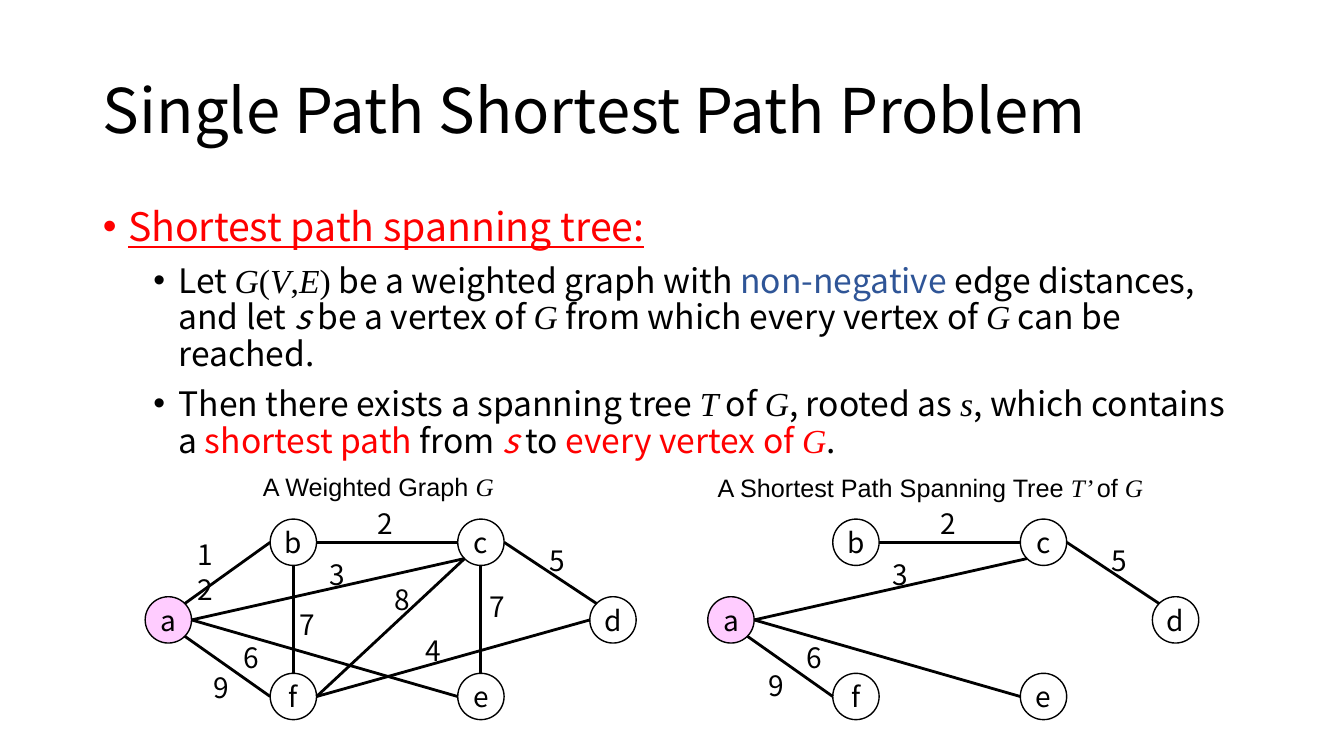
import pptx
import pptx.util
import pptx.dml.color
import pptx.enum.shapes
import pptx.enum.text
import pptx.oxml.ns
import lxml.etree

Inches = pptx.util.Inches
Pt = pptx.util.Pt

COLORS = {
    "black": "000000",
    "white": "FFFFFF",
    "red": "FF0000",
    "blue": "2F5597",
    "pink": "FFCCFF",
}
SANS = "Noto Sans CJK JP"
SERIF = "Times New Roman"
ARIAL = "Arial"

NODE_SIZE = 0.46
TREE_SHIFT = 5.58
NODES = {
    "f": (2.68, 6.68),
    "b": (2.68, 5.15),
    "c": (4.54, 5.15),
    "e": (4.54, 6.68),
    "d": (5.85, 5.92),
    "a": (1.44, 5.92),
}
SITES = {
    "top": (0.5, 0),
    "bottom": (0.5, 1),
    "left": (0, 0.5),
    "right": (1, 0.5),
    "top left": (0.15, 0.15),
    "top right": (0.85, 0.15),
    "bottom left": (0.15, 0.85),
    "bottom right": (0.85, 0.85),
}
TREE_EDGES = [
    ("c", "left", "b", "right"),
    ("d", "top left", "c", "right"),
    ("a", "right", "e", "left"),
    ("a", "right", "c", "bottom left"),
    ("a", "bottom right", "f", "left"),
]
GRAPH_EDGES = TREE_EDGES + [
    ("c", "bottom", "e", "top"),
    ("b", "bottom", "f", "top"),
    ("a", "top right", "b", "left"),
    ("c", "bottom left", "f", "right"),
    ("d", "left", "f", "right"),
]
TREE_WEIGHTS = [
    ("2", 3.65, 4.96),
    ("5", 5.35, 5.33),
    ("6", 2.32, 6.29),
    ("3", 3.17, 5.47),
]
GRAPH_WEIGHTS = TREE_WEIGHTS + [
    ("12", 1.86, 5.27),
    ("7", 4.76, 5.79),
    ("4", 4.12, 6.22),
    ("8", 3.81, 5.72),
    ("7", 2.87, 5.96),
    ("9", 2.02, 6.59),
]


def color(name):
    return pptx.dml.color.RGBColor.from_string(COLORS[name])


def add_span(para, text, size, font=SANS, tint="black", italic=False, underline=False):
    span = para.add_run()
    span.text = text
    span.font.size = Pt(size)
    span.font.name = font
    span.font.italic = italic
    span.font.underline = underline
    span.font.color.rgb = color(tint)
    properties = span._r.get_or_add_rPr()
    for tag in ("a:ea", "a:cs"):
        face = lxml.etree.SubElement(properties, pptx.oxml.ns.qn(tag))
        face.set("typeface", font)


def add_spans(para, spans, size):
    for text, *style in spans:
        add_span(para, text, size, *style)


def place(box, left, top, width, height):
    box.left, box.top = Inches(left), Inches(top)
    box.width, box.height = Inches(width), Inches(height)


def format_bullet(para, level, indent, spacing):
    para.level = level
    para.line_spacing = Pt(spacing)
    para.space_before = para.space_after = Pt(5)
    properties = para._p.get_or_add_pPr()
    properties.set("marL", str(Inches(indent)))
    properties.set("indent", str(Inches(-0.25)))
    font = lxml.etree.SubElement(properties, pptx.oxml.ns.qn("a:buFont"))
    font.set("typeface", ARIAL)
    bullet = lxml.etree.SubElement(properties, pptx.oxml.ns.qn("a:buChar"))
    bullet.set("char", "•")


def write_title(box):
    place(box, 0.92, 0.4, 11.5, 1.45)
    frame = box.text_frame
    frame.auto_size = pptx.enum.text.MSO_AUTO_SIZE.NONE
    frame.vertical_anchor = pptx.enum.text.MSO_ANCHOR.MIDDLE
    para = frame.paragraphs[0]
    para.alignment = pptx.enum.text.PP_ALIGN.LEFT
    para.line_spacing = 0.9
    add_span(para, "Single Path Shortest Path Problem", 44)


def write_body(box):
    place(box, 0.92, 2, 11.5, 4.76)
    frame = box.text_frame
    frame.auto_size = pptx.enum.text.MSO_AUTO_SIZE.NONE
    heading = frame.paragraphs[0]
    format_bullet(heading, 0, 0.25, 30.5)
    add_span(heading, "Shortest path spanning tree:", 28, tint="red", underline=True)
    graph = ("G", SERIF, "black", True)
    points = [
        [
            ("Let ",), graph, ("(", SERIF), ("V", SERIF, "black", True),
            (",", SERIF), ("E", SERIF, "black", True), (")", SERIF),
            (" be a weighted graph with ",), ("non-negative", SANS, "blue"),
            (" edge distances, and let ",), ("s", SANS, "black", True),
            (" be a vertex of ",), graph, (" from which every vertex of ",),
            graph, (" can be reached.",),
        ],
        [
            ("Then there exists a spanning tree ",), ("T", SERIF, "black", True),
            (" of ",), graph, (", rooted as ",), ("s", SERIF, "black", True),
            (", which contains a ",), ("shortest path", SANS, "red"),
            (" from ",), ("s", SANS, "red", True), (" to ",),
            ("every vertex of ", SANS, "red"), ("G", SERIF, "red", True), (".",),
        ],
    ]
    for spans in points:
        para = frame.add_paragraph()
        format_bullet(para, 1, 0.75, 26.1)
        add_spans(para, spans, 24)


def add_label(page, left, top, width, height, spans, size, spacing=None):
    box = page.shapes.add_textbox(*map(Inches, (left, top, width, height)))
    box.text_frame.word_wrap = True
    para = box.text_frame.paragraphs[0]
    para.line_spacing = spacing
    add_spans(para, spans, size)


def add_node(group, name, left, top):
    oval = pptx.enum.shapes.MSO_SHAPE.OVAL
    node = group.shapes.add_shape(oval, *map(Inches, (left, top, NODE_SIZE, NODE_SIZE)))
    node.shadow.inherit = False
    node.fill.solid()
    node.fill.fore_color.rgb = color("pink" if name == "a" else "white")
    node.line.color.rgb = color("black")
    node.line.width = Pt(1)
    frame = node.text_frame
    frame.margin_left = frame.margin_right = frame.margin_top = frame.margin_bottom = 0
    frame.vertical_anchor = pptx.enum.text.MSO_ANCHOR.MIDDLE
    para = frame.paragraphs[0]
    para.alignment = pptx.enum.text.PP_ALIGN.CENTER
    add_span(para, name, 20)


def site_point(name, site, shift):
    left, top = NODES[name]
    across, down = SITES[site]
    return Inches(left + shift + across * NODE_SIZE), Inches(top + down * NODE_SIZE)


def add_edge(group, start, start_site, end, end_site, shift):
    straight = pptx.enum.shapes.MSO_CONNECTOR.STRAIGHT
    edge = group.shapes.add_connector(
        straight, *site_point(start, start_site, shift), *site_point(end, end_site, shift)
    )
    edge.line.color.rgb = color("black")
    edge.line.width = Pt(2)
    lxml.etree.SubElement(edge._element.spPr, pptx.oxml.ns.qn("a:effectLst"))


def add_graph(page, edges, weights, shift):
    group = page.shapes.add_group_shape()
    for name, (left, top) in NODES.items():
        add_node(group, name, left + shift, top)
    for edge in edges:
        add_edge(group, *edge, shift)
    for weight, left, top in weights:
        width = 0.44 if len(weight) > 1 else 0.31
        add_label(page, left + shift, top, width, 0.37, [(weight,)], 20, Pt(25))


def main():
    deck = pptx.Presentation()
    deck.slide_width, deck.slide_height = Inches(13.33), Inches(7.5)
    page = deck.slides.add_slide(deck.slide_layouts[1])
    write_title(page.shapes.title)
    write_body(page.placeholders[1])
    add_graph(page, GRAPH_EDGES, GRAPH_WEIGHTS, 0)
    add_graph(page, TREE_EDGES, TREE_WEIGHTS + [("9", 1.94, 6.57)], TREE_SHIFT)
    graph = ("G", SERIF, "black", True)
    add_label(page, 2.51, 4.63, 2.58, 0.4, [("A Weighted Graph ", ARIAL), graph], 18)
    tree_caption = [
        ("A Shortest Path Spanning Tree ", ARIAL),
        ("T’ ", SERIF, "black", True),
        ("of ", ARIAL),
        graph,
    ]
    add_label(page, 7.02, 4.64, 4.88, 0.4, tree_caption, 18)
    deck.save("out.pptx")


if __name__ == "__main__":
    main()
